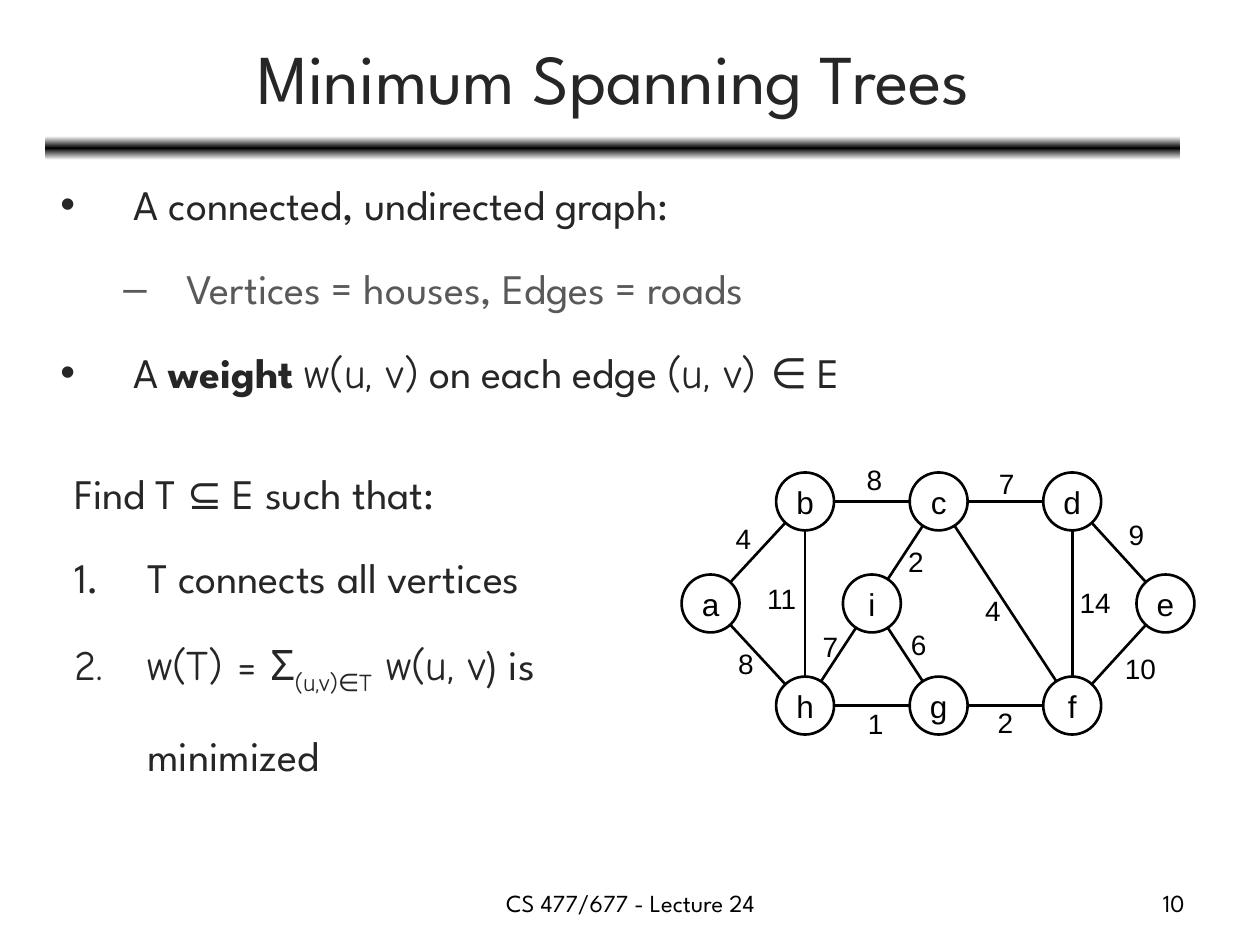
from copy import deepcopy
from math import hypot

from lxml import etree
from pptx import Presentation
from pptx.dml.color import RGBColor
from pptx.enum.shapes import MSO_CONNECTOR, MSO_SHAPE
from pptx.enum.text import MSO_ANCHOR, MSO_AUTO_SIZE, PP_ALIGN
from pptx.oxml.ns import qn
from pptx.util import Inches, Pt

ELLIPSE, BAR = MSO_SHAPE.OVAL, MSO_SHAPE.ROUNDED_RECTANGLE
STRAIGHT = MSO_CONNECTOR.STRAIGHT
MIDDLE, TOP = MSO_ANCHOR.MIDDLE, MSO_ANCHOR.TOP
LEFT, CENTER, RIGHT = PP_ALIGN.LEFT, PP_ALIGN.CENTER, PP_ALIGN.RIGHT
NO_AUTOFIT = MSO_AUTO_SIZE.NONE

THEME = {
    "font": "League Spartan", "math_font": "Comic Neue", "graph_font": "Arial",
    "text": "262626", "muted": "595959", "black": "000000", "white": "FFFFFF",
    "title_size": 40, "body_size": 24, "node_size": 18, "weight_size": 16,
    "footer_size": 14, "line_width": 1.5,
}

TITLE = "Minimum Spanning Trees"
FOOTERS = [  # text, left, width, alignment
    ("CS 477/677 - Lecture 24", 3.42, 3.17, CENTER),
    ("10", 7.17, 2.33, RIGHT),
]

# Paragraphs: level, left margin, first-line indent, bullet, runs of (text, style)
DEFINITION = [
    (0, 0.58, -0.58, "•", [("A connected, undirected graph:", "plain")]),
    (1, 1, -0.5, "–", [("Vertices = houses, Edges = roads", "muted")]),
    (0, 0.58, -0.58, "•", [
        ("A ", "plain"), ("weight ", "bold"), ("w(u, v)", "math"),
        (" on each edge ", "plain"), ("(u, v) ", "math"), ("∈ E", "plain")]),
]
GOAL = [
    (0, 0, 0, None, [("Find T ⊆ E such that:", "plain")]),
    (0, 0.58, -0.58, "number", [("T connects all vertices", "plain")]),
    (0, 0.58, -0.58, "number", [
        ("w(T) = Σ", "math"), ("(u,v)∈T", "subscript"),
        (" w(u, v", "math"), (") is", "plain")]),
    (0, 0.58, 0, None, [("minimized", "plain")]),
]

NODE_DIAMETER = 0.46
ROWS = [3.98, 4.79, 5.6]
NODES = {  # centre x, row
    "a": (5.64, 1), "b": (6.39, 0), "c": (7.45, 0), "d": (8.51, 0), "e": (9.25, 1),
    "h": (6.39, 2), "g": (7.45, 2), "f": (8.51, 2), "i": (6.92, 1),
}
EDGES = [  # ends, weight, left and top of the weight label
    ("ab", "4", 5.74, 4.09), ("bc", "8", 6.78, 3.62), ("cd", "7", 7.83, 3.65),
    ("ah", "8", 5.76, 5.08), ("bh", "11", 5.99, 4.57), ("hg", "1", 6.79, 5.56),
    ("gf", "2", 7.82, 5.55), ("hi", "7", 6.43, 4.95), ("ic", "2", 7.11, 4.27),
    ("cf", "4", 7.72, 4.66), ("df", "14", 8.47, 4.6), ("de", "9", 8.86, 4.06),
    ("fe", "10", 8.83, 5.12), ("ig", "6", 7.13, 4.93),
]


def color(name):
    return RGBColor.from_string(THEME[name])


def format_run(run, size, font="font", fill="text", bold=False):
    run.font.name = THEME[font]
    run.font.size = Pt(THEME[size])
    run.font.color.rgb = color(fill)
    run.font.bold = bold


def set_line(text_frame, text, size, font, fill, alignment):
    text_frame.text = text
    paragraph = text_frame.paragraphs[0]
    paragraph.alignment = alignment
    format_run(paragraph.runs[0], size, font, fill)


def place(shape, left, top, width, height):
    shape.left, shape.top = Inches(left), Inches(top)
    shape.width, shape.height = Inches(width), Inches(height)


def add_text_box(shapes, left, top, width, height, wrap=True):
    box = shapes.add_textbox(Inches(left), Inches(top), Inches(width), Inches(height))
    box.text_frame.word_wrap = wrap
    return box.text_frame


def set_bullet(properties, bullet):
    if bullet is None:
        etree.SubElement(properties, qn("a:buNone"))
    elif bullet == "number":
        etree.SubElement(properties, qn("a:buAutoNum"), type="arabicPeriod")
    else:
        etree.SubElement(properties, qn("a:buChar"), char=bullet)


def fill_paragraphs(text_frame, content):
    text_frame.auto_size = NO_AUTOFIT
    text_frame.vertical_anchor = TOP
    for index, (level, margin, indent, bullet, runs) in enumerate(content):
        paragraph = text_frame.add_paragraph() if index else text_frame.paragraphs[0]
        paragraph.level = level
        paragraph.alignment = LEFT
        paragraph.line_spacing = 1.5
        paragraph.space_before = Pt(0.2 * THEME["body_size"] if index else 0)
        properties = paragraph._p.get_or_add_pPr()
        properties.set("marL", str(Inches(margin)))
        properties.set("indent", str(Inches(indent)))
        set_bullet(properties, bullet)
        for text, style in runs:
            run = paragraph.add_run()
            run.text = text
            format_run(
                run, "body_size",
                font="math_font" if style in ("math", "subscript") else "font",
                fill="muted" if style == "muted" else "text",
                bold=style == "bold")
            if style == "subscript":
                run.font._element.set("baseline", "-25000")


def add_title_bar(shapes):
    bar = shapes.add_shape(BAR, Inches(0.36), Inches(1.08), Inches(9.01), Inches(0.19))
    bar.shadow.inherit = False
    bar.line.fill.background()
    bar.fill.gradient()
    bar.fill.gradient_angle = 90
    stop_list = bar._element.spPr.find(".//" + qn("a:gsLst"))
    stop_list.append(deepcopy(stop_list[-1]))
    stops = zip(bar.fill.gradient_stops, (0, 0.5, 1), ("white", "black", "white"))
    for stop, position, name in stops:
        stop.position = position
        stop.color.rgb = color(name)


def add_node(shapes, name):
    x, row = NODES[name]
    radius = NODE_DIAMETER / 2
    node = shapes.add_shape(
        ELLIPSE, Inches(x - radius), Inches(ROWS[row] - radius),
        Inches(NODE_DIAMETER), Inches(NODE_DIAMETER))
    node.shadow.inherit = False
    node.fill.background()
    node.line.color.rgb = color("black")
    node.line.width = Pt(THEME["line_width"])
    node.text_frame.word_wrap = False
    node.text_frame.vertical_anchor = MIDDLE
    set_line(node.text_frame, name, "node_size", "graph_font", "black", CENTER)


def add_edge(shapes, ends):
    """Joins two nodes from rim to rim along the line between their centres."""
    (x1, y1), (x2, y2) = [(NODES[end][0], ROWS[NODES[end][1]]) for end in ends]
    trim = NODE_DIAMETER / 2 / hypot(x2 - x1, y2 - y1)
    dx, dy = (x2 - x1) * trim, (y2 - y1) * trim
    edge = shapes.add_connector(
        STRAIGHT, Inches(x1 + dx), Inches(y1 + dy), Inches(x2 - dx), Inches(y2 - dy))
    edge.line.color.rgb = color("black")
    edge.line.width = Pt(THEME["line_width"])
    etree.SubElement(edge._element.spPr, qn("a:effectLst"))


def add_graph(slide):
    shapes = slide.shapes.add_group_shape().shapes
    for name in NODES:
        add_node(shapes, name)
    for ends, weight, left, top in EDGES:
        add_edge(shapes, ends)
        width = 0.32 if len(weight) == 1 else 0.45
        label = add_text_box(shapes, left, top, width, 0.37, wrap=False)
        set_line(label, weight, "weight_size", "graph_font", "black", LEFT)


def main():
    presentation = Presentation()
    presentation.slide_width, presentation.slide_height = Inches(10), Inches(7.5)
    slide = presentation.slides.add_slide(presentation.slide_layouts[1])
    add_title_bar(slide.shapes)

    title, body = slide.shapes.title, slide.placeholders[1]
    place(title, 0.37, 0.11, 9, 0.99)
    title.text_frame.auto_size = NO_AUTOFIT
    title.text_frame.vertical_anchor = MIDDLE
    set_line(title.text_frame, TITLE, "title_size", "font", "text", CENTER)
    place(body, 0.38, 1.17, 8.9, 2.3)
    fill_paragraphs(body.text_frame, DEFINITION)

    add_graph(slide)
    fill_paragraphs(add_text_box(slide.shapes, 0.49, 3.46, 9.24, 2.28), GOAL)
    for text, left, width, alignment in FOOTERS:
        footer = add_text_box(slide.shapes, left, 7, width, 0.35)
        set_line(footer, text, "footer_size", "font", "black", alignment)
    presentation.save("out.pptx")


if __name__ == "__main__":
    main()
